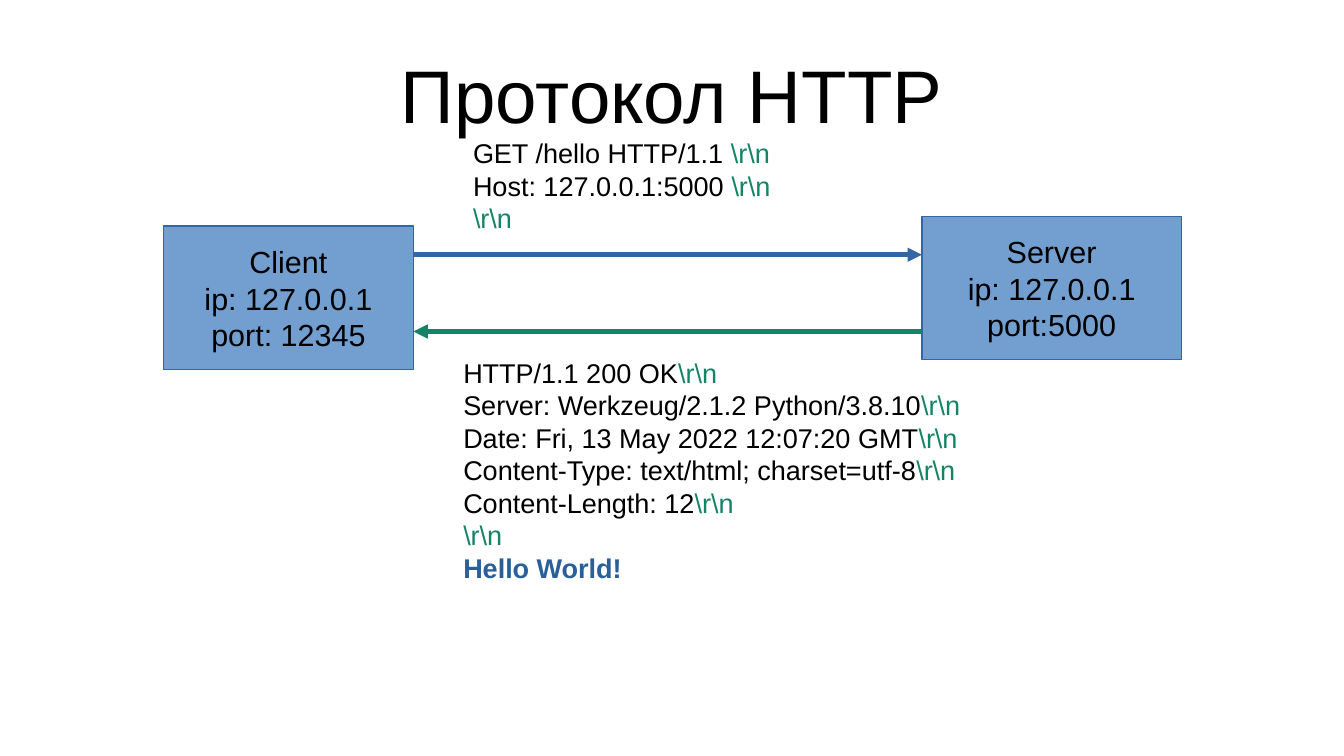
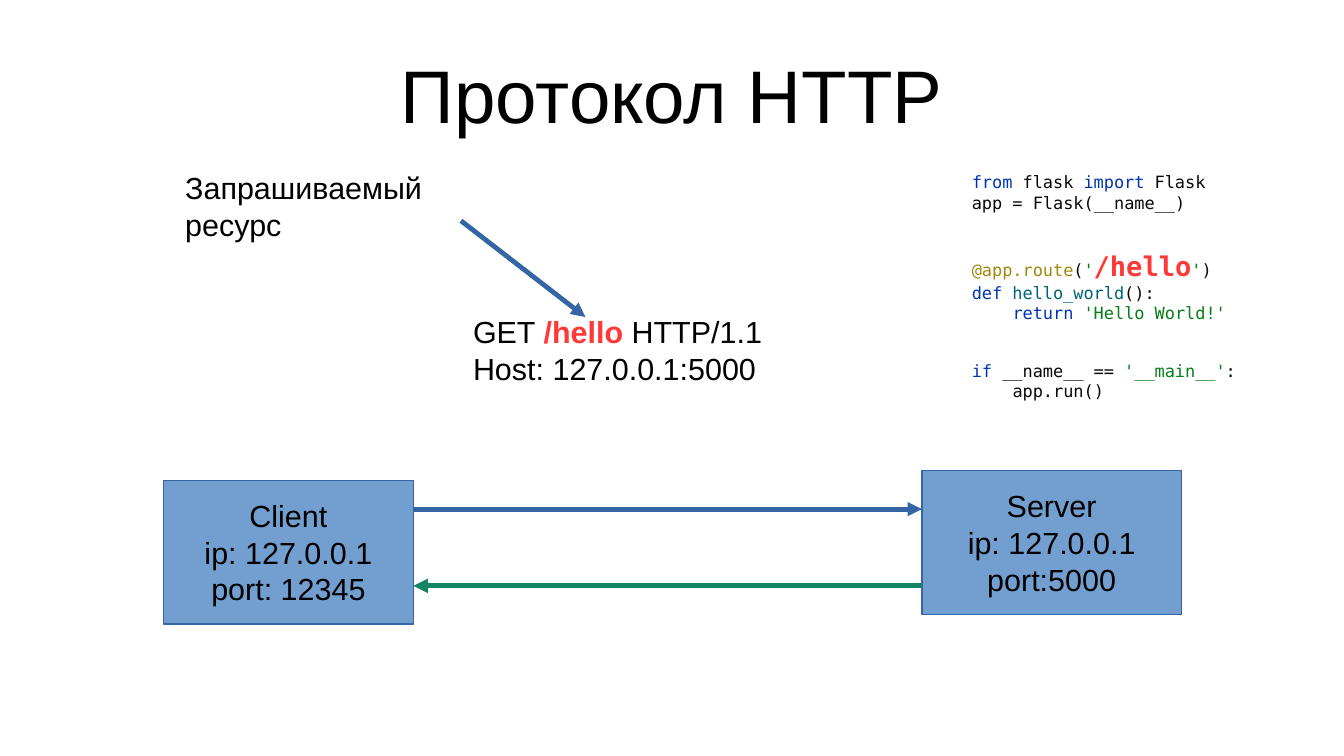
from lxml import etree
from pptx import Presentation
from pptx.dml.color import RGBColor
from pptx.enum.shapes import MSO_CONNECTOR, MSO_SHAPE
from pptx.enum.text import MSO_ANCHOR, PP_ALIGN
from pptx.oxml.ns import qn
from pptx.util import Inches, Pt

LEFT, CENTER = PP_ALIGN.LEFT, PP_ALIGN.CENTER
TOP, MIDDLE = MSO_ANCHOR.TOP, MSO_ANCHOR.MIDDLE
RECT, STRAIGHT = MSO_SHAPE.RECTANGLE, MSO_CONNECTOR.STRAIGHT

COLORS = {
    "text": "000000", "box": "729FCF", "request": "3465A4",
    "response": "158466", "body": "2A6099", "path": "FF3838",
    "code": "080808", "keyword": "0033B3", "decorator": "9E880D",
    "string": "067D17", "function": "00627A",
}
BOLD = {"body", "path"}
SANS, MONO = "Arial", "DejaVu Sans Mono"
CODE_GAP, CODE_INDENT = Pt(22), Pt(24)
END = (r"\r\n", "response")

# Grid of 100 columns by 100 rows
prs = Presentation()
prs.slide_width, prs.slide_height = Inches(11.02), Inches(6.2)
COL, ROW = prs.slide_width / 100, prs.slide_height / 100


def write(shape, lines, size, font=SANS, align=LEFT, anchor=TOP, wrap=True):
    """Fill a shape with lines, each a list of (text, colour name[, size])."""
    tf = shape.text_frame
    tf.word_wrap, tf.vertical_anchor = wrap, anchor
    for i, line in enumerate(lines):
        p = tf.paragraphs[0] if i == 0 else tf.add_paragraph()
        p.alignment = align
        for text, color, *own_size in line:
            r = p.add_run()
            r.text = text
            formats = {"name": font, "bold": color in BOLD,
                       "size": Pt(own_size[0] if own_size else size)}
            for key, value in formats.items():
                setattr(r.font, key, value)
            r.font.color.rgb = RGBColor.from_string(COLORS[color])
    return tf


def arrow(s, x1, y1, x2, y2, color):
    line = s.shapes.add_connector(STRAIGHT, int(x1 * COL), int(y1 * ROW),
                                  int(x2 * COL), int(y2 * ROW))
    line.line.color.rgb = RGBColor.from_string(COLORS[color])
    line.line.width = Pt(2.83)
    etree.SubElement(line.line._get_or_add_ln(), qn("a:tailEnd"), type="triangle")
    etree.SubElement(line._element.spPr, qn("a:effectLst"))


# Text of the messages
request = [
    [("GET /hello HTTP/1.1 ", "text"), END],
    [("Host: 127.0.0.1:5000 ", "text"), END],
    [END],
]
headers = [
    "HTTP/1.1 200 OK",
    "Server: Werkzeug/2.1.2 Python/3.8.10",
    "Date: Fri, 13 May 2022 12:07:20 GMT",
    "Content-Type: text/html; charset=utf-8",
    "Content-Length: 12",
]
response = [[(h, "text"), END] for h in headers]
response += [[END], [("Hello World!", "body")]]
short_request = [
    [("GET ", "text"), ("/hello", "path"), (" HTTP/1.1", "text")],
    [("Host: 127.0.0.1:5000", "text")],
]
resource = [[("Запрашиваемый", "text")], [("ресурс", "text")]]
code = [
    [("from ", "keyword"), ("flask ", "code"), ("import ", "keyword"), ("Flask", "code")],
    [("app = Flask(__name__)", "code")],
    [("@app.route", "decorator"), ("(", "code"), ("'", "string"),
     ("/hello", "path", 16), ("'", "string"), (")", "code")],
    [("def ", "keyword"), ("hello_world", "function"), ("():", "code")],
    [("return ", "keyword"), ("'Hello World!'", "string")],
    [("if ", "keyword"), ("__name__ == ", "code"), ("'__main__'", "string"), (":", "code")],
    [("app.run()", "code")],
]
code_gaps, code_indents = (2, 5), (4, 6)

# Client and server: left, width, rise above the client's top, lines
CLIENT_X, CLIENT_W, SERVER_X, SERVER_W, BOX_H = 12.16, 18.6, 68.6, 19.3, 19
hosts = [
    (CLIENT_X, CLIENT_W, 0, ["Client", "ip: 127.0.0.1", "port: 12345"]),
    (SERVER_X, SERVER_W, 1.3, ["Server", "ip: 127.0.0.1", "port:5000"]),
]

# Each slide: row of the client box, then texts as (left, top, width, height, lines, size, font)
slides = [
    (29.9, [(34.3, 17.26, 29.3, 13.5, request, 16, SANS),
            (33.58, 46.3, 41.5, 45.2, response, 16, SANS)]),
    (63.55, [(34.3, 40.65, 30.8, 10.6, short_request, 18, SANS),
             (12.89, 21.6, 20, 10.6, resource, 18, SANS),
             (71.42, 21.94, 22.9, 26.6, code, 10, MONO)]),
]

for host_row, texts in slides:
    s = prs.slides.add_slide(prs.slide_layouts[6])

    # Title
    title = s.shapes.add_textbox(int(5 * COL), int(4 * ROW), int(90 * COL), int(16.8 * ROW))
    tf = write(title, [[("Протокол HTTP", "text")]], 44, align=CENTER, anchor=MIDDLE)
    for side in ("left", "top", "right", "bottom"):
        setattr(tf, "margin_" + side, 0)

    # Client and server boxes
    for x, w, rise, lines in hosts:
        sp = s.shapes.add_shape(RECT, int(x * COL), int((host_row - rise) * ROW),
                                int(w * COL), int(BOX_H * ROW))
        sp.shadow.inherit = False
        sp.fill.solid()
        sp.fill.fore_color.rgb = RGBColor.from_string(COLORS["box"])
        sp.line.color.rgb = RGBColor.from_string(COLORS["request"])
        sp.line.width = Pt(0.75)
        write(sp, [[(t, "text")] for t in lines], 18, align=CENTER, anchor=MIDDLE, wrap=False)

    # Request and response arrows
    client_edge = CLIENT_X + CLIENT_W
    arrow(s, client_edge, host_row + 3.8, SERVER_X, host_row + 3.8, "request")
    arrow(s, SERVER_X, host_row + 13.95, client_edge, host_row + 13.95, "response")

    # Messages, labels and code
    for x, y, w, h, lines, size, font in texts:
        box = s.shapes.add_textbox(int(x * COL), int(y * ROW), int(w * COL), int(h * ROW))
        tf = write(box, lines, size, font)
        if lines is code:
            for i in code_gaps:
                tf.paragraphs[i].space_before = CODE_GAP
            for i in code_indents:
                tf.paragraphs[i]._p.get_or_add_pPr().set("marL", str(CODE_INDENT))

# Pointer from the label to the path, on the last slide
arrow(s, 34.3, 29.2, 43.56, 41.94, "request")

prs.save("out.pptx")
